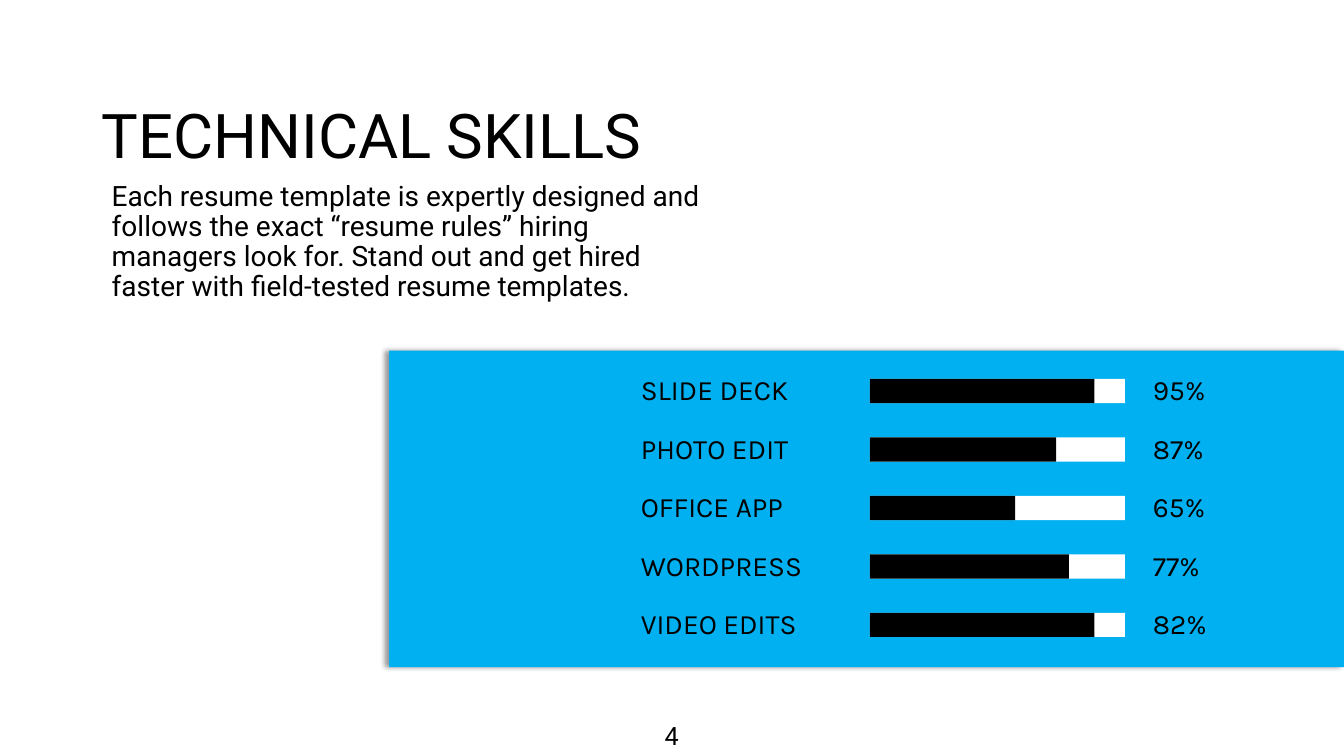
from dataclasses import dataclass
from typing import NamedTuple

from lxml.etree import SubElement
from pptx import Presentation
from pptx.dml.color import RGBColor
from pptx.enum.shapes import MSO_SHAPE
from pptx.enum.text import MSO_ANCHOR, MSO_AUTO_SIZE, PP_ALIGN
from pptx.oxml.ns import qn
from pptx.shapes.autoshape import Shape
from pptx.util import Inches, Pt

SLIDE_WIDTH, SLIDE_HEIGHT = Inches(13.33), Inches(7.5)
# Grid: 40 columns by 30 rows
COLUMN, ROW = SLIDE_WIDTH / 40, SLIDE_HEIGHT / 30


class Box(NamedTuple):
    """Left and width in columns, top and height in rows."""
    left: float
    top: float
    width: float
    height: float

    def lengths(self) -> tuple[int, ...]:
        return (round(self.left * COLUMN), round(self.top * ROW),
                round(self.width * COLUMN), round(self.height * ROW))


class TextStyle(NamedTuple):
    font: str
    size: int
    anchor: MSO_ANCHOR = MSO_ANCHOR.MIDDLE
    align: PP_ALIGN | None = None
    line_spacing: float | None = 0.9
    insets: tuple[float, float] = (0.1, 0.05)  # sides, top and bottom in inches
    fit: MSO_AUTO_SIZE = MSO_AUTO_SIZE.NONE


@dataclass(frozen=True)
class Theme:
    ink: str = "000000"
    paper: str = "FFFFFF"
    accent: str = "00B0F0"
    title: TextStyle = TextStyle("Roboto", 44, insets=(0, 0))
    intro: TextStyle = TextStyle("Roboto", 20, insets=(0.1, 0.1))
    skill: TextStyle = TextStyle("Karla", 20, MSO_ANCHOR.TOP, line_spacing=None,
                                 fit=MSO_AUTO_SIZE.SHAPE_TO_FIT_TEXT)
    page: TextStyle = TextStyle("Roboto", 18, align=PP_ALIGN.CENTER)


@dataclass(frozen=True)
class Skill:
    name: str
    percent: int
    bar_share: float  # filled part of the bar


THEME = Theme()
SKILLS = [
    Skill("SLIDE DECK", 95, 0.88),
    Skill("PHOTO EDIT", 87, 0.73),
    Skill("OFFICE APP", 65, 0.57),
    Skill("WORDPRESS", 77, 0.78),
    Skill("VIDEO EDITS", 82, 0.88),
]
FIRST_SKILL_ROW, SKILL_PITCH = 14.6, 2.32


def add_rectangle(shapes, box: Box, color: str) -> Shape:
    shape = shapes.add_shape(MSO_SHAPE.RECTANGLE, *box.lengths())
    shape.shadow.inherit = False
    shape.fill.solid()
    shape.fill.fore_color.rgb = RGBColor.from_string(color)
    shape.line.fill.background()
    return shape


def add_left_shadow(shape: Shape) -> None:
    effects = shape._element.spPr.find(qn("a:effectLst"))
    shadow = SubElement(effects, qn("a:outerShdw"), blurRad=str(Pt(4)),
                        dist=str(Pt(3)), dir="10800000", algn="r", rotWithShape="0")
    color = SubElement(shadow, qn("a:srgbClr"), val=THEME.ink)
    SubElement(color, qn("a:alpha"), val="40000")


def add_text(shapes, box: Box, text: str, style: TextStyle) -> None:
    frame = shapes.add_textbox(*box.lengths()).text_frame
    frame.word_wrap = True
    frame.auto_size = style.fit
    frame.vertical_anchor = style.anchor
    sides, ends = (Inches(inset) for inset in style.insets)
    frame.margin_left = frame.margin_right = sides
    frame.margin_top = frame.margin_bottom = ends
    paragraph = frame.paragraphs[0]
    paragraph.alignment = style.align
    paragraph.line_spacing = style.line_spacing
    run = paragraph.add_run()
    run.text = text
    run.font.name = style.font
    run.font.size = Pt(style.size)
    run.font.color.rgb = RGBColor.from_string(THEME.ink)


def add_skill(shapes, skill: Skill, top: float) -> None:
    group = shapes.add_group_shape().shapes
    bar = Box(25.89, top + 0.44, 7.59, 0.96)
    add_rectangle(group, bar, THEME.paper)
    add_rectangle(group, bar._replace(width=bar.width * skill.bar_share), THEME.ink)
    add_text(group, Box(18.78, top, 7.41, 1.76), skill.name, THEME.skill)
    add_text(group, Box(34.02, top, 2.97, 1.76), f"{skill.percent}%", THEME.skill)


def main() -> None:
    presentation = Presentation()
    presentation.slide_width, presentation.slide_height = SLIDE_WIDTH, SLIDE_HEIGHT
    slide = presentation.slides.add_slide(presentation.slide_layouts[6])
    shapes = slide.shapes

    # Panel
    add_left_shadow(add_rectangle(shapes, Box(11.58, 13.92, 28.42, 12.56), THEME.accent))

    # Heading and introduction
    add_text(shapes, Box(3.03, 4.36, 17.7, 2.28), "TECHNICAL SKILLS", THEME.title)
    add_text(shapes, Box(3.03, 6.72, 18.24, 5.8),
             "Each resume template is expertly designed and follows the exact "
             "“resume rules” hiring managers look for. Stand out and get hired "
             "faster with field-tested resume templates.", THEME.intro)

    # Skill bars
    for index, skill in enumerate(SKILLS):
        add_skill(shapes, skill, FIRST_SKILL_ROW + index * SKILL_PITCH)

    # Page number
    add_text(shapes, Box(19.29, 28.64, 1.41, 1.24), "4", THEME.page)

    presentation.save("out.pptx")


if __name__ == "__main__":
    main()
